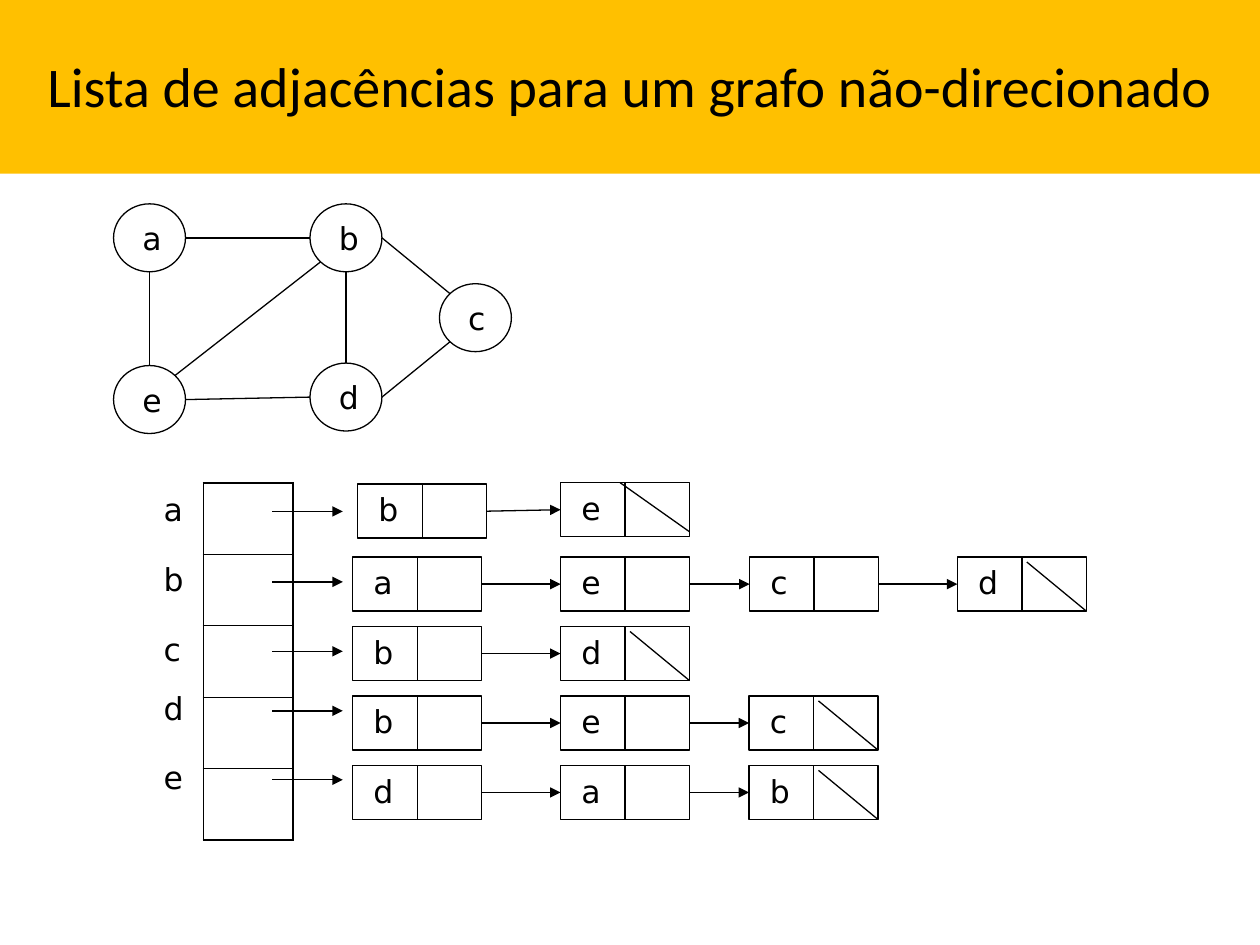
"""Builds a slide with an undirected graph and its adjacency list."""
import math

import lxml.etree
import pptx
import pptx.dml.color
import pptx.enum.shapes
import pptx.enum.text
import pptx.oxml.ns
import pptx.util

Cm, Pt = pptx.util.Cm, pptx.util.Pt
qn = pptx.oxml.ns.qn
SHAPE = pptx.enum.shapes.MSO_SHAPE

TITLE = "Lista de adjacências para um grafo não-direcionado"
COLORS = {"band": "FFC000", "ink": "000000"}
NODES = {
    "a": (2.29, 4.11),
    "e": (2.29, 7.37),
    "b": (6.25, 4.11),
    "d": (6.25, 7.32),
    "c": (8.86, 5.72),
}
EDGES = [
    ("a", "right", "b", "left"),
    ("b", "right", "c", "top left"),
    ("d", "left", "e", "right"),
    ("a", "bottom", "e", "top"),
    ("b", "bottom", "d", "top"),
    ("b", "bottom left", "e", "top right"),
    ("c", "bottom left", "d", "right"),
]
SITES = ["right", "bottom right", "bottom", "bottom left",
         "left", "top left", "top", "top right"]
ROWS = [
    {"vertex": "a", "label_top": 9.75, "slash": (1.2, 0, 0.99),
     "cells": [("b", 7.21, 9.76), ("e", 11.3, 9.73)]},
    {"vertex": "b", "label_top": 11.17, "slash": (1.4, 0.1, 1.09),
     "cells": [("a", 7.11, 11.23), ("e", 11.3, 11.23),
               ("c", 15.11, 11.23), ("d", 19.3, 11.23)]},
    {"vertex": "c", "label_top": 12.57, "slash": (1.4, 0.1, 1.09),
     "cells": [("b", 7.11, 12.63), ("d", 11.3, 12.63)]},
    {"vertex": "d", "label_top": 13.77, "slash": (1.4, 0.1, 1.09),
     "cells": [("b", 7.11, 14.03), ("e", 11.3, 14.03), ("c", 15.1, 14.03)]},
    {"vertex": "e", "label_top": 15.16, "slash": (1.4, 0.1, 1.09),
     "cells": [("d", 7.11, 15.43), ("a", 11.3, 15.43), ("b", 15.1, 15.43)]},
]
LETTER_W = {"a": 0.86, "b": 0.89, "c": 0.81, "d": 0.89, "e": 0.86}
NODE_W, NODE_H = 1.45, 1.37
CELL_W, CELL_H = 2.6, 1.09
TABLE_X, TABLE_Y, TABLE_W, ROW_H = 4.1, 9.73, 1.8, 1.44
LABEL_X, POINTER_X, POINTER_END = 3.05, 5.49, 6.91


def rgb(name):
    return pptx.dml.color.RGBColor.from_string(COLORS[name])


def add_outline(shapes, kind, x, y, w, h):
    sp = shapes.add_shape(kind, Cm(x), Cm(y), Cm(w), Cm(h))
    sp.shadow.inherit = False
    sp.fill.background()
    sp.line.color.rgb = rgb("ink")
    sp.line.width = Pt(0.75)


def add_line(shapes, start, end, arrow=False):
    line = shapes.add_connector(pptx.enum.shapes.MSO_CONNECTOR.STRAIGHT,
                                *(Cm(v) for v in (*start, *end)))
    line.line.color.rgb = rgb("ink")
    line.line.width = Pt(0.75)
    if arrow:
        lxml.etree.SubElement(line.line._get_or_add_ln(), qn("a:tailEnd"), type="triangle")
    lxml.etree.SubElement(line._element.spPr, qn("a:effectLst"))


def add_letter(shapes, letter, x, y):
    box = shapes.add_textbox(Cm(x), Cm(y), Cm(LETTER_W[letter]), Cm(1.02))
    tf = box.text_frame
    tf.word_wrap = False
    tf.auto_size = pptx.enum.text.MSO_AUTO_SIZE.SHAPE_TO_FIT_TEXT
    p = tf.paragraphs[0]
    p.text = letter
    p.font.size = Pt(18)
    p.font.name = "DejaVu Sans"
    p.font.color.rgb = rgb("ink")


def add_title(s):
    sp = s.shapes.title
    sp.left, sp.top, sp.width, sp.height = Cm(0), Cm(-0.08), Cm(25.4), Cm(3.58)
    sp.fill.solid()
    sp.fill.fore_color.rgb = rgb("band")
    tf = sp.text_frame
    tf.text = TITLE
    tf.word_wrap = True
    tf.auto_size = pptx.enum.text.MSO_AUTO_SIZE.NONE
    tf.vertical_anchor = pptx.enum.text.MSO_ANCHOR.MIDDLE
    p = tf.paragraphs[0]
    p.alignment = pptx.enum.text.PP_ALIGN.CENTER
    p.font.size = Pt(32)
    p.font.name = "Calibri"
    p.font.color.rgb = rgb("ink")


def node_site(vertex, site):
    x, y = NODES[vertex]
    angle = SITES.index(site) * math.pi / 4
    return (x + NODE_W / 2 * (1 + math.cos(angle)),
            y + NODE_H / 2 * (1 + math.sin(angle)))


def add_graph(s):
    for vertex, (x, y) in NODES.items():
        group = s.shapes.add_group_shape().shapes
        add_outline(group, SHAPE.OVAL, x, y, NODE_W, NODE_H)
        add_letter(group, vertex, x + 0.33, y + 0.18)
    for tail, tail_site, head, head_site in EDGES:
        add_line(s.shapes, node_site(tail, tail_site), node_site(head, head_site))


def add_border(cell, side, width):
    ln = lxml.etree.SubElement(cell._tc.get_or_add_tcPr(), qn(f"a:ln{side}"), w=str(Pt(width)))
    fill = lxml.etree.SubElement(ln, qn("a:solidFill"))
    lxml.etree.SubElement(fill, qn("a:srgbClr"), val=COLORS["ink"])


def add_vertex_table(s):
    count = len(ROWS)
    table = s.shapes.add_table(count, 1, Cm(TABLE_X), Cm(TABLE_Y),
                               Cm(TABLE_W), Cm(ROW_H * count)).table
    table.first_row = table.horz_banding = False
    for i in range(count):
        table.rows[i].height = Cm(ROW_H)
        cell = table.cell(i, 0)
        widths = {"L": 1.08, "R": 1.08, "T": 0.45 if i else 1.08,
                  "B": 0.45 if i < count - 1 else 1.08}
        for side, width in widths.items():
            add_border(cell, side, width)
        cell.fill.background()


def add_list(s, row):
    cells = row["cells"]
    for letter, x, y in cells:
        group = s.shapes.add_group_shape().shapes
        add_outline(group, SHAPE.RECTANGLE, x, y, CELL_W, CELL_H)
        add_letter(group, letter, x + 0.17, y)
        middle = x + CELL_W / 2
        add_line(group, (middle, y), (middle, y + CELL_H))
    for (_, x, y), (_, next_x, next_y) in zip(cells, cells[1:]):
        add_line(s.shapes, (x + CELL_W, y + CELL_H / 2),
                 (next_x, next_y + CELL_H / 2), arrow=True)
    _, x, y = cells[-1]
    dx, dy, end_dy = row["slash"]
    add_line(s.shapes, (x + dx, y + dy), (x + CELL_W, y + end_dy))
    add_letter(s.shapes, row["vertex"], LABEL_X, row["label_top"])
    pointer_y = row["label_top"] + 0.56
    add_line(s.shapes, (POINTER_X, pointer_y), (POINTER_END, pointer_y), arrow=True)


def main():
    prs = pptx.Presentation()
    prs.slide_width, prs.slide_height = Cm(25.4), Cm(19.05)
    s = prs.slides.add_slide(prs.slide_layouts[5])
    add_title(s)
    add_graph(s)
    add_vertex_table(s)
    for row in ROWS:
        add_list(s, row)
    prs.save("out.pptx")


if __name__ == "__main__":
    main()
